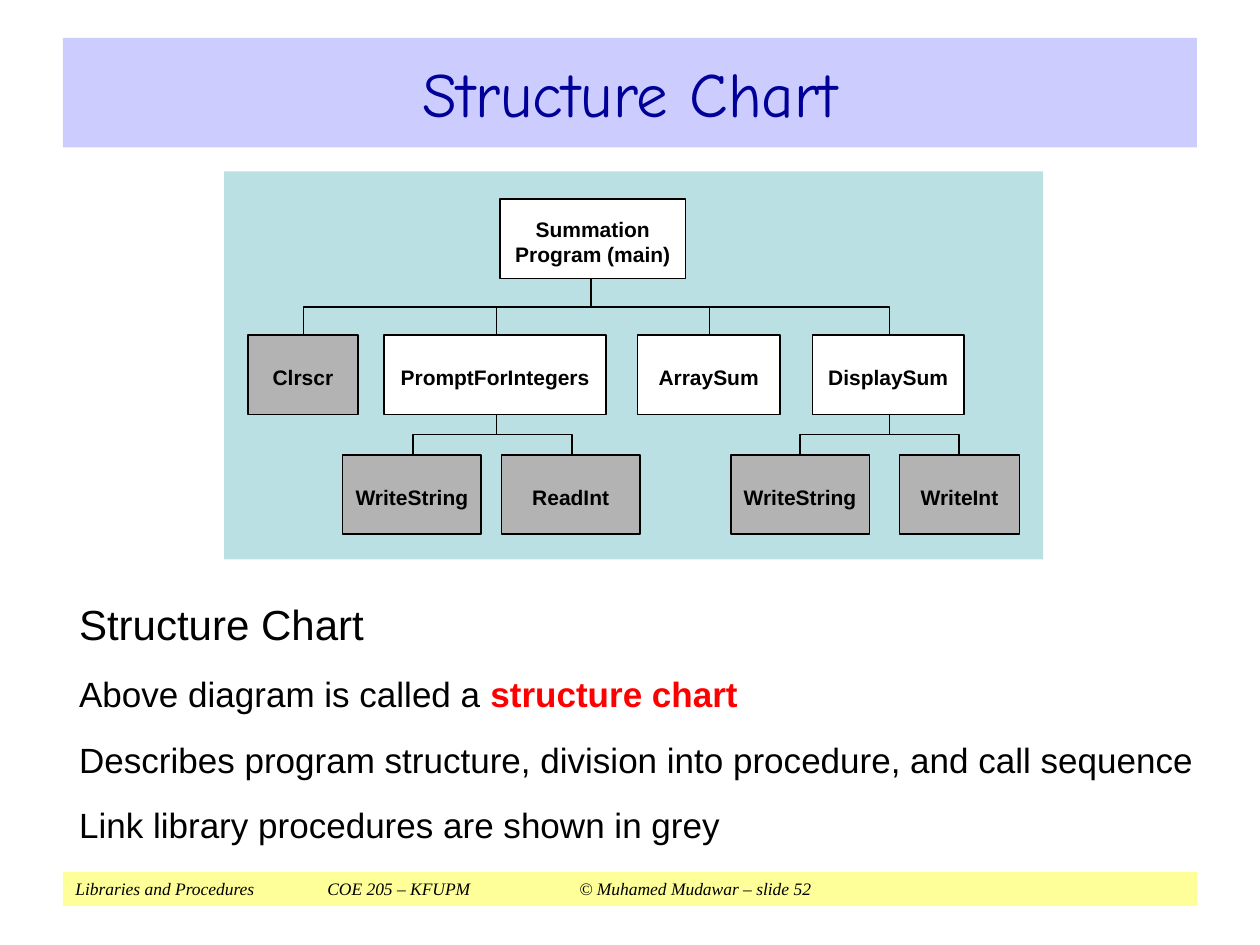
"""Build the structure chart slide."""
from pptx import Presentation
from pptx.dml.color import RGBColor
from pptx.enum.shapes import MSO_SHAPE as Kind
from pptx.enum.text import MSO_ANCHOR as Anchor, PP_ALIGN as Align
from pptx.oxml import parse_xml
from pptx.oxml.ns import nsdecls
from pptx.util import Inches, Pt


def tint(code):
    return RGBColor.from_string(code)


def write(para, text, size, face="Arial", color="000000", bold=False):
    run = para.add_run()
    run.text = text
    font = run.font
    font.size, font.name, font.bold = Pt(size), face, bold
    font.color.rgb = tint(color)
    return run


deck = Presentation()
deck.slide_width, deck.slide_height = Inches(10), Inches(7.5)
slide = deck.slides.add_slide(deck.slide_layouts[6])
shapes = slide.shapes

panels = []
for left, top, width, height, fill in [
    (0.5, 6.92, 9, 0.27, "FFFF99"),
    (0.5, 0.3, 9, 0.87, "CCCCFF"),
    (1.78, 1.36, 6.5, 3.08, "BBE0E3"),
]:
    panel = shapes.add_shape(
        Kind.RECTANGLE, Inches(left), Inches(top), Inches(width), Inches(height))
    panel.shadow.inherit = False
    panel.fill.solid()
    panel.fill.fore_color.rgb = tint(fill)
    panel.line.fill.background()
    panel.text_frame.vertical_anchor = Anchor.MIDDLE
    panels.append(panel)
footer, title, board = panels

para = footer.text_frame.paragraphs[0]
para.alignment = Align.LEFT
tabs = "".join(f'<a:tab pos="{Inches(pos)}" algn="l"/>' for pos in (2, 4))
para._p.get_or_add_pPr().append(
    parse_xml(f'<a:tabLst {nsdecls("a")}>{tabs}</a:tabLst>'))
note = "Libraries and Procedures\tCOE 205 – KFUPM\t© Muhamed Mudawar – slide 52"
write(para, note, 10, "Times New Roman").font.italic = True

para = title.text_frame.paragraphs[0]
para.alignment = Align.CENTER
write(para, "Structure Chart", 36, "Comic Neue", "000099")

WHITE, GREY = "FFFFFF", "B3B3B3"
HIGH = 0.63
rows = [1.58, 2.66, 3.61]
nodes = [
    ("Summation\nProgram (main)", 0, 3.97, 1.47, WHITE),
    ("Clrscr", 1, 1.97, 0.87, GREY),
    ("PromptForIntegers", 1, 3.05, 1.76, WHITE),
    ("ArraySum", 1, 5.06, 1.13, WHITE),
    ("DisplaySum", 1, 6.45, 1.2, WHITE),
    ("WriteString", 2, 2.72, 1.1, GREY),
    ("ReadInt", 2, 3.98, 1.1, GREY),
    ("WriteString", 2, 5.8, 1.1, GREY),
    ("WriteInt", 2, 7.14, 0.95, GREY),
]
for name, row, left, width, fill in nodes:
    box = shapes.add_shape(
        Kind.RECTANGLE, Inches(left), Inches(rows[row]), Inches(width), Inches(HIGH))
    box.shadow.inherit = False
    box.fill.solid()
    box.fill.fore_color.rgb = tint(fill)
    box.line.color.rgb = tint("000000")
    box.line.width = Pt(0.88)
    frame = box.text_frame
    frame.word_wrap = False
    frame.vertical_anchor = Anchor.MIDDLE
    frame.margin_left = frame.margin_right = frame.margin_bottom = 0
    frame.margin_top = Inches(0.04)
    for spot, text in enumerate(name.split("\n")):
        para = frame.add_paragraph() if spot else frame.paragraphs[0]
        para.alignment = Align.CENTER
        write(para, text, 12, bold=True)

calls = [
    (4.69, 0, [2.41, 3.94, 5.63, 7.06]),
    (3.94, 1, [3.28, 4.54]),
    (7.06, 1, [6.35, 7.61]),
]
for start, row, ends in calls:
    top, base = rows[row] + HIGH, rows[row + 1]
    mid = (top + base) / 2
    for end in ends:
        pen = shapes.build_freeform(Inches(start), Inches(top))
        pen.add_line_segments(
            [(Inches(x), Inches(y)) for x, y in
             [(start, mid), (end, mid), (end, base)]], close=False)
        link = pen.convert_to_shape()
        link.shadow.inherit = False
        link.fill.background()
        link.line.color.rgb = tint("000000")
        link.line.width = Pt(0.88)

body = shapes.add_textbox(Inches(0.53), Inches(4.57), Inches(9.07), Inches(2.22))
frame = body.text_frame
frame.word_wrap = True
frame.margin_top, frame.margin_bottom = Inches(0.18), Inches(0.15)
lines = [
    ("Structure Chart", ""),
    ("Above diagram is called a ", "structure chart"),
    ("Describes program structure, division into procedure, and call sequence", ""),
    ("Link library procedures are shown in grey", ""),
]
for spot, (text, term) in enumerate(lines):
    para = frame.add_paragraph() if spot else frame.paragraphs[0]
    if spot:
        para.space_before = Pt(13.5)
    write(para, text, 20 if spot else 24)
    if term:
        write(para, term, 20, color="FF0000", bold=True)

deck.save("out.pptx")
